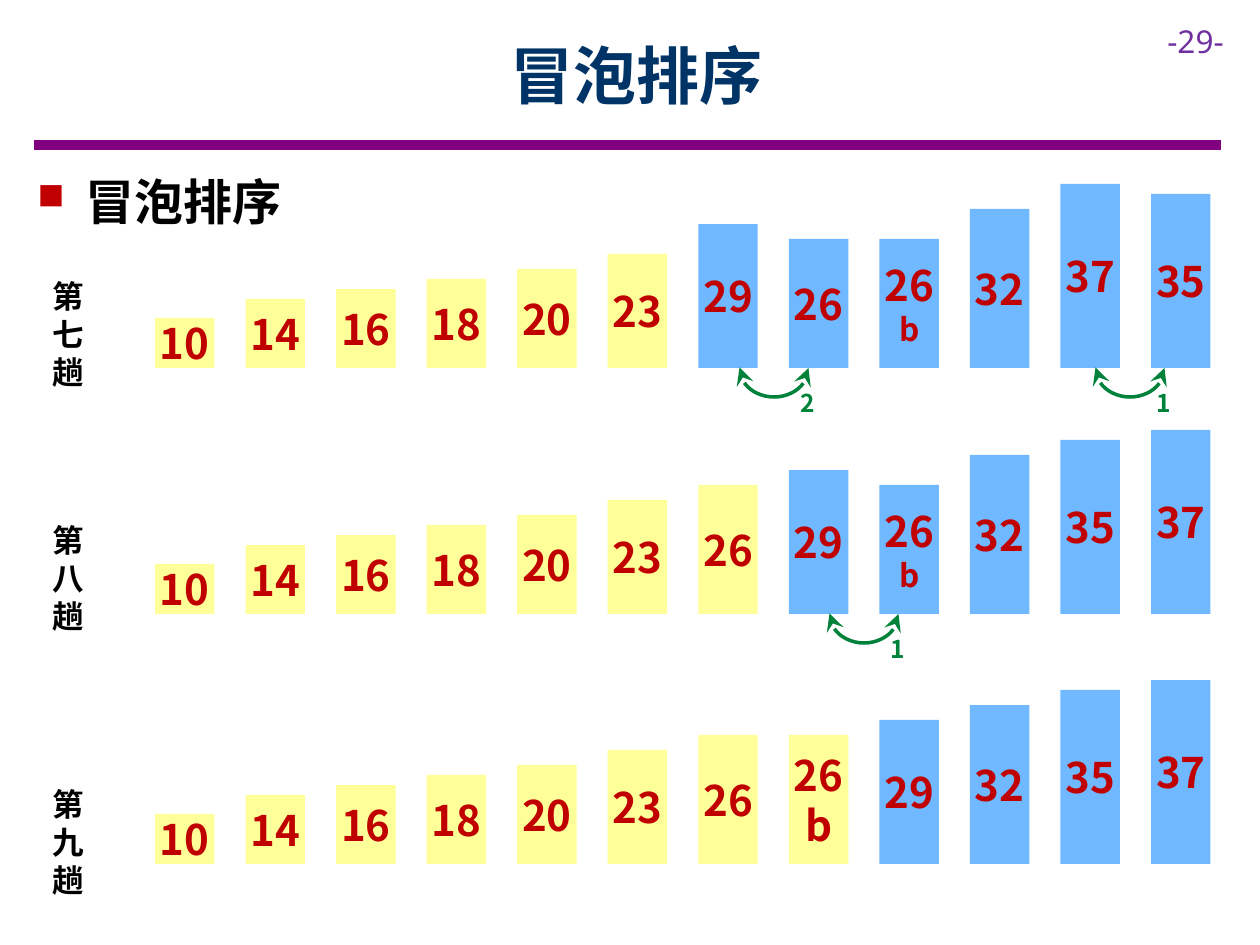
from lxml import etree
from pptx import Presentation
from pptx import util as u
from pptx.dml.color import RGBColor
from pptx.enum import shapes, text
from pptx.oxml import ns

CJK = "Noto Sans CJK SC"
RED, GREEN, BLACK = "C00000", "00823B", "000000"
YELLOW, BLUE = "FFFF99", "70B8FF"
TITLE = "冒泡排序"

# Each pass: label, label top, base of bars, sorted count, size of "b",
# bar values, swaps as (arc centre, step)
PASSES = [
    ("第七趟", 271, 368, 6, 18,
     "10 14 16 18 20 23 29 26 26b 32 37 35", [(1130, "1"), (774, "2")]),
    ("第八趟", 515, 614, 7, 18,
     "10 14 16 18 20 23 26 29 26b 32 35 37", [(864, "1")]),
    ("第九趟", 779, 864, 8, 24,
     "10 14 16 18 20 23 26 26b 29 32 35 37", []),
]
LEFT, PITCH, WIDE, UNIT = 155, 90.55, 59, 4.96
ARC_W, ARC_H = 58, 69


def px(n):
    """Turn pixels into EMU."""
    return u.Emu(round(n * 914400 / 126))


def rgb(code):
    """Turn a hex string into a colour."""
    return RGBColor.from_string(code)


def add(node, tag, **attrs):
    """Append a drawing element to a node."""
    return etree.SubElement(node, ns.qn("a:" + tag), attrs)


def style(para, size, color, bold=True, face=CJK, align=text.PP_ALIGN.LEFT):
    """Set the font and alignment of a paragraph."""
    font = para.font
    font.size, font.bold = u.Pt(size), bold
    font.color.rgb = rgb(color)
    font.name = face
    add(para._p.pPr.find(ns.qn("a:defRPr")), "ea", typeface=face)
    para.alignment = align


def label(box, words, size, color, wrap=True, mid=False, **kind):
    """Add a text box with one paragraph."""
    frame = slide.shapes.add_textbox(*map(px, box)).text_frame
    frame.word_wrap = wrap
    if mid:
        frame.vertical_anchor = text.MSO_ANCHOR.MIDDLE
    para = frame.paragraphs[0]
    para.text = words
    style(para, size, color, **kind)
    return para


def bullet(para):
    """Give a paragraph a red square bullet and a hanging indent."""
    props = para._p.pPr
    props.set("marL", str(px(48)))
    props.set("indent", str(-px(48)))
    marks = [etree.Element(ns.qn("a:" + tag)) for tag in
             ("buClr", "buSzPct", "buFont", "buChar")]
    add(marks[0], "srgbClr", val=RED)
    marks[1].set("val", "75000")
    marks[2].set("typeface", "Wingdings")
    marks[3].set("char", "n")
    font = props.find(ns.qn("a:defRPr"))
    for mark in marks:
        font.addprevious(mark)


def bar(col, base, value, fill, small):
    """Draw one bar, as tall as its value, standing on the base."""
    num, tag = value[:2], value[2:]
    high = round(int(num) * UNIT)
    box = (LEFT + col * PITCH, base - high, WIDE + 0.5, high)
    rect = slide.shapes.add_shape(shapes.MSO_SHAPE.RECTANGLE, *map(px, box))
    rect.shadow.inherit = False
    rect.fill.solid()
    rect.fill.fore_color.rgb = rgb(fill)
    rect.line.fill.background()
    frame = rect.text_frame
    frame.word_wrap = True
    frame.margin_left = frame.margin_right = 0
    frame.margin_top = frame.margin_bottom = u.Inches(0.1)
    frame.vertical_anchor = text.MSO_ANCHOR.MIDDLE
    frame.text = num + ("\n" + tag if tag else "")
    for para, size in zip(frame.paragraphs, (24, small)):
        style(para, size, RED, align=text.PP_ALIGN.CENTER)


def swap(mid, base, step):
    """Draw a two-headed arc below the base, with its step number."""
    box = (mid - ARC_W / 2, base - ARC_H / 2, ARC_W, ARC_H)
    arc = slide.shapes.add_shape(shapes.MSO_SHAPE.ARC, *map(px, box))
    arc.shadow.inherit = False
    arc.rotation = 90
    arc.adjustments[0], arc.adjustments[1] = 162, 54.597
    arc.fill.background()
    arc.line.color.rgb = rgb(GREEN)
    arc.line.width = u.Pt(2)
    line = arc.line._get_or_add_ln()
    for end in ("headEnd", "tailEnd"):
        add(line, end, type="stealth", w="lg", len="lg")
    label((mid + 14, base + 14, 40, 43), step, 14, GREEN, wrap=False,
          align=text.PP_ALIGN.CENTER)


deck = Presentation()
deck.slide_width, deck.slide_height = px(1260), px(945)
slide = deck.slides.add_slide(deck.slide_layouts[6])

rule = slide.shapes.add_connector(
    shapes.MSO_CONNECTOR.STRAIGHT, *map(px, (34, 145, 1221, 145)))
rule.line.color.rgb = rgb("800080")
rule.line.width = u.Pt(6)
add(rule._element.spPr, "effectLst")

label((1155, 16, 105, 50), "-29-", 18, "7030A0", bold=False, face="Noto Sans")
label((113, 11, 1047, 126), TITLE, 36, "003366", mid=True,
      align=text.PP_ALIGN.CENTER)
head = label((25, 165, 1206, 72), TITLE, 28, BLACK)
head.space_after = u.Pt(6)
bullet(head)

for name, top, base, done, small, values, swaps in PASSES:
    label((40, top, 66, 127), name, 18, BLACK).space_after = u.Pt(6)
    for col, value in enumerate(values.split()):
        bar(col, base, value, YELLOW if col < done else BLUE, small)
    for mid, step in swaps:
        swap(mid, base, step)

deck.save("out.pptx")
